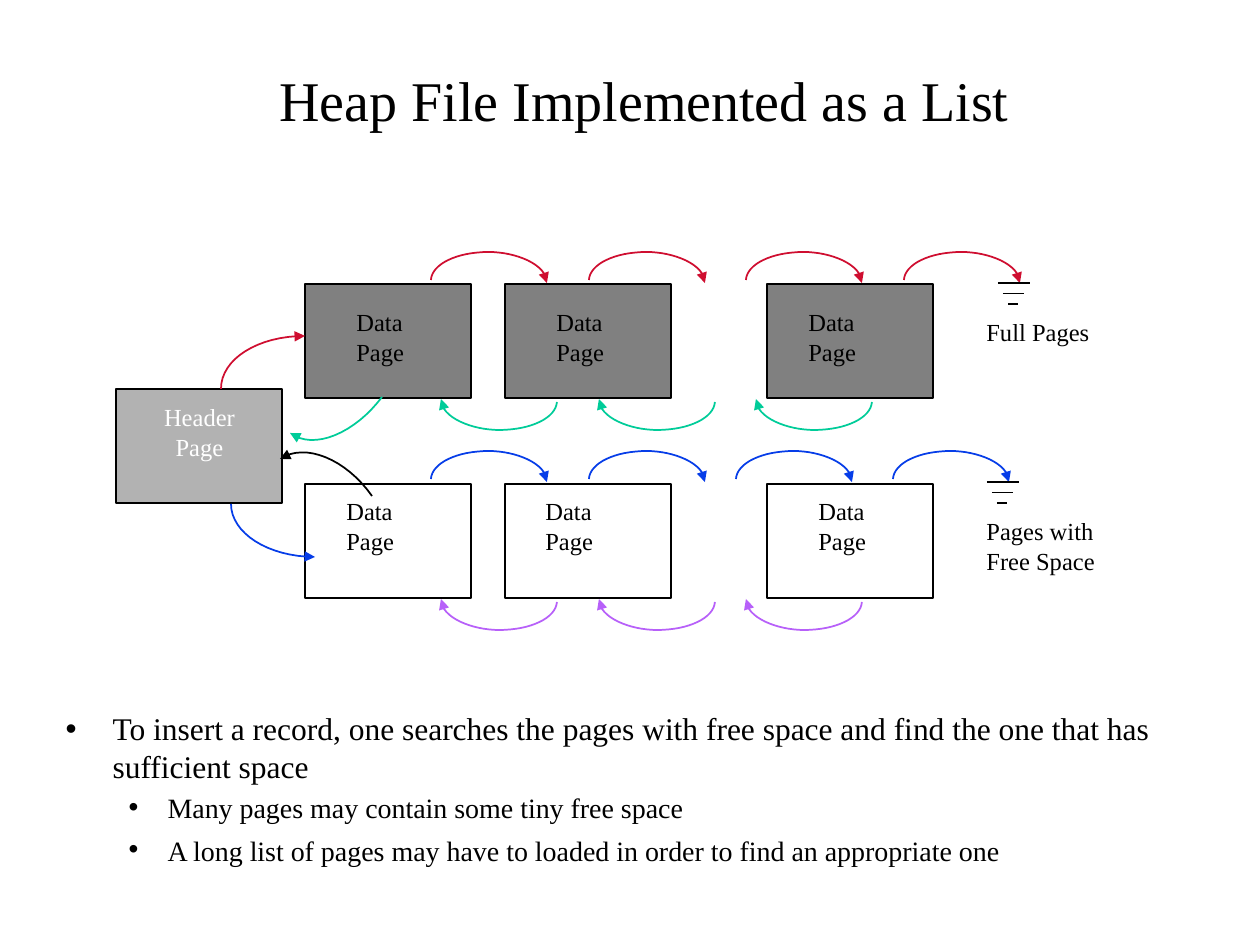
from dataclasses import dataclass

from lxml.etree import SubElement as Sub
from pptx import Presentation
from pptx.dml.color import RGBColor as Rgb
from pptx.enum.shapes import MSO_CONNECTOR as Conn, MSO_SHAPE as Kind
from pptx.enum.text import MSO_ANCHOR as Anchor, MSO_AUTO_SIZE as Fit, PP_ALIGN as Align
from pptx.oxml.ns import qn
from pptx.util import Emu, Pt


@dataclass(frozen=True)
class Theme:
    font: str = "Times New Roman"
    ink: str = "000000"
    white: str = "FFFFFF"
    full: str = "808080"
    head: str = "B2B2B2"
    red: str = "CF0E30"
    teal: str = "00CC99"
    blue: str = "063DE8"
    violet: str = "B760F9"
    title: int = 32
    item: int = 18
    sub: int = 16
    label: int = 14
    line: int = 1


T = Theme()
SCALE = 914400 / 126  # EMU in one px
BOX_W, BOX_H = 166, 114
PAGES = (305, 505, 767)
# Hop over a gap, as offsets from its outer corner: start and two curves
HOP = ((0, 28), (1, 12), (26, 0), (58, 0), (84, 0), (116, 12), (116, 31))


def px(n):
    return Emu(round(n * SCALE))


def place(shape, x, y, w, h):
    shape.left, shape.top, shape.width, shape.height = map(px, (x, y, w, h))


def add_run(para, text, size, color=T.ink):
    run = para.add_run()
    run.text = text
    run.font.name = T.font
    run.font.size = Pt(size)
    run.font.color.rgb = Rgb.from_string(color)


def stroke(shape, color):
    shape.line.color.rgb = Rgb.from_string(color)
    shape.line.width = Pt(T.line)


def add_title(slide, text):
    title = slide.shapes.title
    place(title, 116, 63, 1071, 73)
    frame = title.text_frame
    frame.auto_size = Fit.NONE
    frame.vertical_anchor = Anchor.MIDDLE
    para = frame.paragraphs[0]
    para.alignment = Align.CENTER
    add_run(para, text, T.title)


def add_list(slide, items):
    body = slide.placeholders[1]
    place(body, 53, 703, 1171, 179)
    frame = body.text_frame
    frame.auto_size = Fit.NONE
    for i, (level, runs) in enumerate(items):
        para = frame.add_paragraph() if i else frame.paragraphs[0]
        para.level = level
        left, hang = ((47, 47), (102, 39))[level]
        props = para._p.get_or_add_pPr()
        props.set("marL", str(px(left)))
        props.set("indent", str(-px(hang)))
        Sub(props, qn("a:buChar")).set("char", "•")
        for text, size in runs:
            add_run(para, text, size)


def add_box(slide, x, y, fill=None):
    box = slide.shapes.add_shape(Kind.RECTANGLE, *map(px, (x, y, BOX_W, BOX_H)))
    box.shadow.inherit = False
    if fill:
        box.fill.solid()
        box.fill.fore_color.rgb = Rgb.from_string(fill)
    else:
        box.fill.background()
    stroke(box, T.ink)


def add_label(slide, x, y, w, lines, color=T.ink, align=Align.LEFT):
    box = slide.shapes.add_textbox(*map(px, (x, y, w, 13 + 29 * len(lines))))
    frame = box.text_frame
    frame.word_wrap = False
    frame.auto_size = Fit.SHAPE_TO_FIT_TEXT
    for i, text in enumerate(lines):
        para = frame.add_paragraph() if i else frame.paragraphs[0]
        para.alignment = align
        add_run(para, text, T.label, color)


def bezier(a, b, c, d, steps=16):
    """Points along a cubic curve, without its start."""
    for i in range(1, steps + 1):
        t = i / steps
        u = 1 - t
        yield tuple(u**3 * p + 3 * u * u * t * q + 3 * u * t * t * r + t**3 * s
                    for p, q, r, s in zip(a, b, c, d))


def add_curve(slide, color, *pts):
    """Arrow through chained cubic curves, pointing at the last point."""
    path = [p for i in range(0, len(pts) - 1, 3) for p in bezier(*pts[i:i + 4])]
    pen = slide.shapes.build_freeform(px(pts[0][0]), px(pts[0][1]))
    pen.add_line_segments([(px(x), px(y)) for x, y in path], close=False)
    curve = pen.convert_to_shape()
    curve.shadow.inherit = False
    curve.fill.background()
    stroke(curve, color)
    Sub(curve._element.spPr.find(qn("a:ln")), qn("a:tailEnd")).set("type", "triangle")


def add_hops(slide, color, y, starts, way):
    """Hops to the right above a row (way 1) or back below it (way -1)."""
    for x in starts:
        add_curve(slide, color, *((x + way * dx, y + way * dy) for dx, dy in HOP))


def add_ground(slide, x, y):
    for i in range(3):
        left, level = x + 5 * i, y + 10.5 * i
        ends = (left, level, left + 32 - 11 * i, level)
        bar = slide.shapes.add_connector(Conn.STRAIGHT, *map(px, ends))
        stroke(bar, T.ink)
        Sub(bar._element.spPr, qn("a:effectLst"))


def main():
    deck = Presentation()
    deck.slide_width, deck.slide_height = px(1260), px(945)
    slide = deck.slides.add_slide(deck.slide_layouts[1])

    # Title and list
    add_title(slide, "Heap File Implemented as a List ")
    add_list(slide, (
        (0, [("To insert a record, one searches the pages with free space "
              "and find the one that has sufficient space", T.item)]),
        (1, [("Many pages may contain some tiny free space", T.sub)]),
        (1, [("A long list of pages may have to loaded in order "
              "to find an appropriate one", T.sub), (" ", T.item)]),
    ))

    # Pages: full row, free row, header
    rows = ((284, T.full, 301, (344, 544, 796)), (484, None, 490, (334, 533, 806)))
    for y, fill, text_y, text_xs in rows:
        for x, text_x in zip(PAGES, text_xs):
            add_box(slide, x, y, fill)
            add_label(slide, text_x, text_y, 73, ("Data", "Page"))
    add_box(slide, 116, 389, T.head)
    add_label(slide, 151, 396, 97, ("Header", "Page"), T.white, Align.CENTER)

    # Links between pages
    add_hops(slide, T.red, 252, (431, 589, 746, 904), 1)
    add_hops(slide, T.teal, 430, (557, 715, 872), -1)
    add_hops(slide, T.blue, 451, (431, 589, 736, 893), 1)
    add_hops(slide, T.violet, 630, (557, 715, 862), -1)

    # Links between the header and the first pages
    add_curve(slide, T.red, (221, 389), (221, 359), (258, 336), (305, 336))
    add_curve(slide, T.teal, (382, 397), (355, 433), (314, 451), (290, 433))
    add_curve(slide, T.ink, (372, 496), (346, 459), (305, 442), (280, 459))
    add_curve(slide, T.blue, (231, 504), (231, 533), (268, 557), (315, 557))

    # List ends
    add_ground(slide, 998, 283)
    add_ground(slide, 987, 482)
    add_label(slide, 974, 311, 129, ("Full Pages",))
    add_label(slide, 974, 510, 135, ("Pages with", "Free Space"))

    deck.save("out.pptx")


if __name__ == "__main__":
    main()
